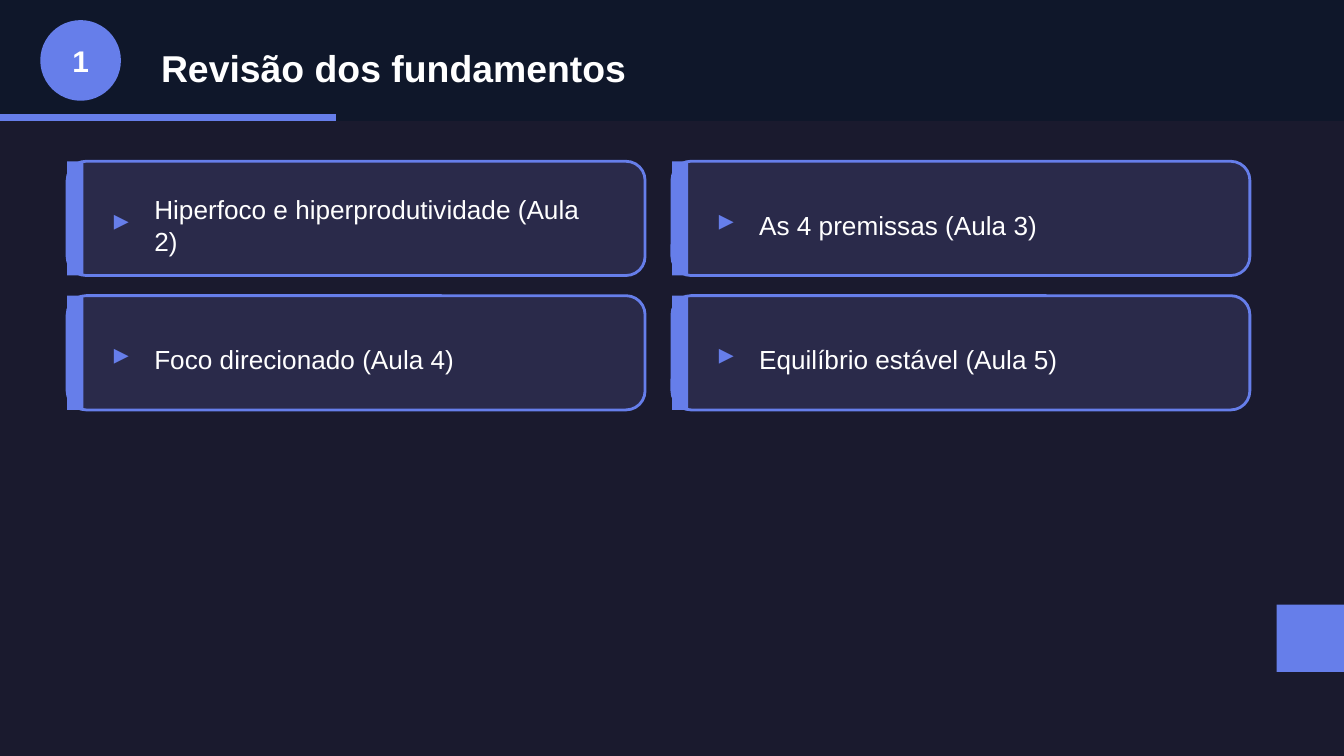
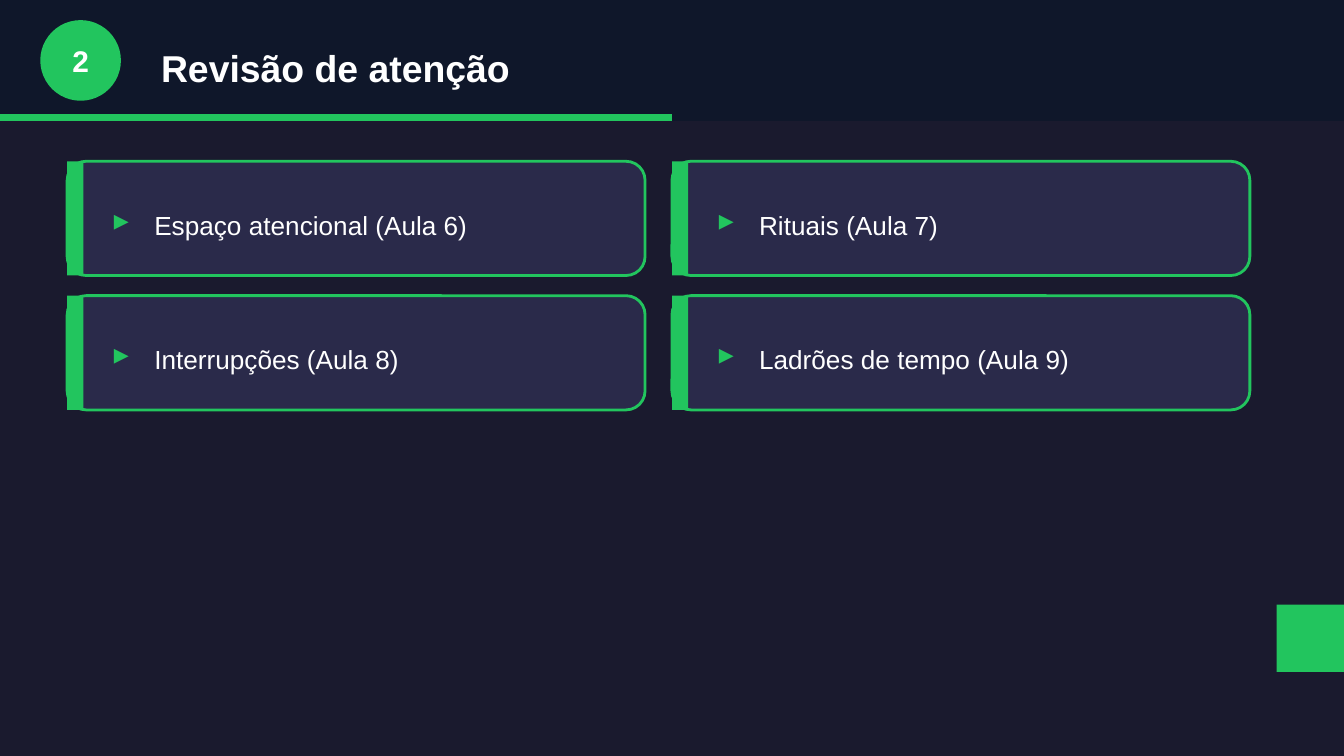
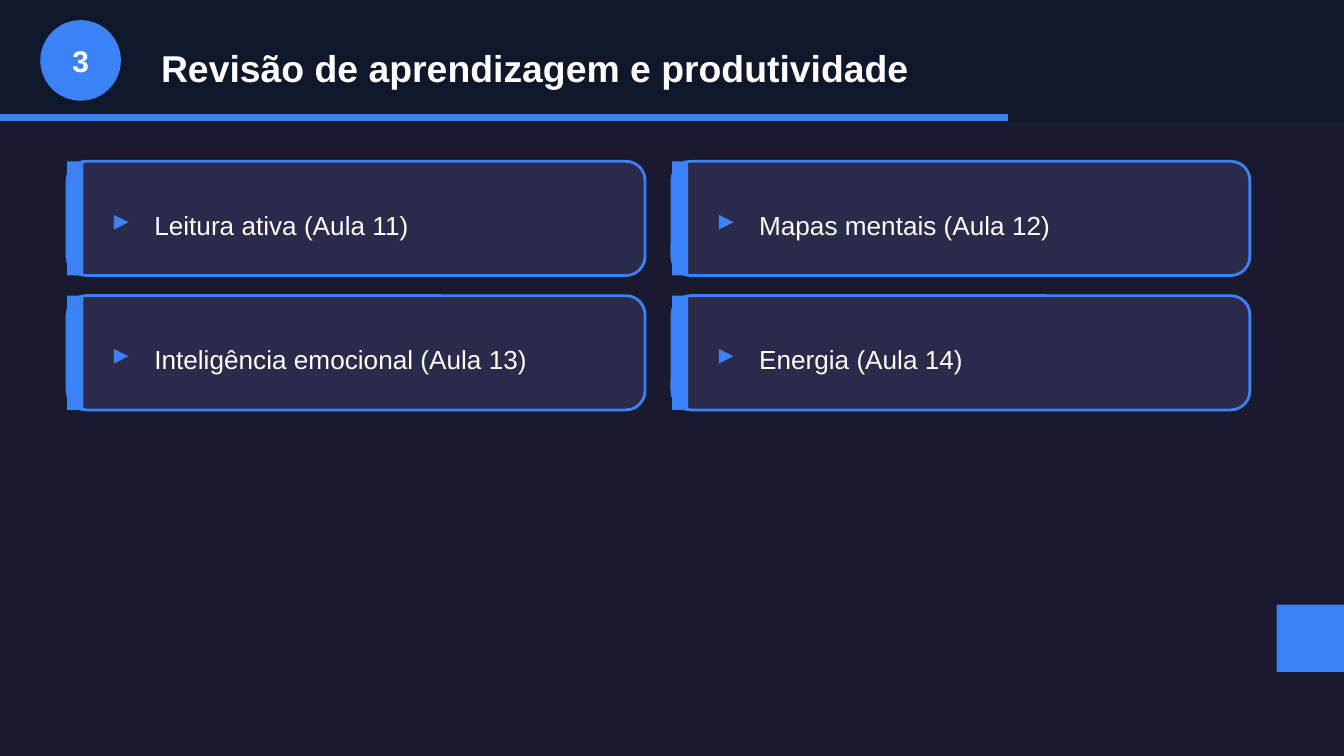
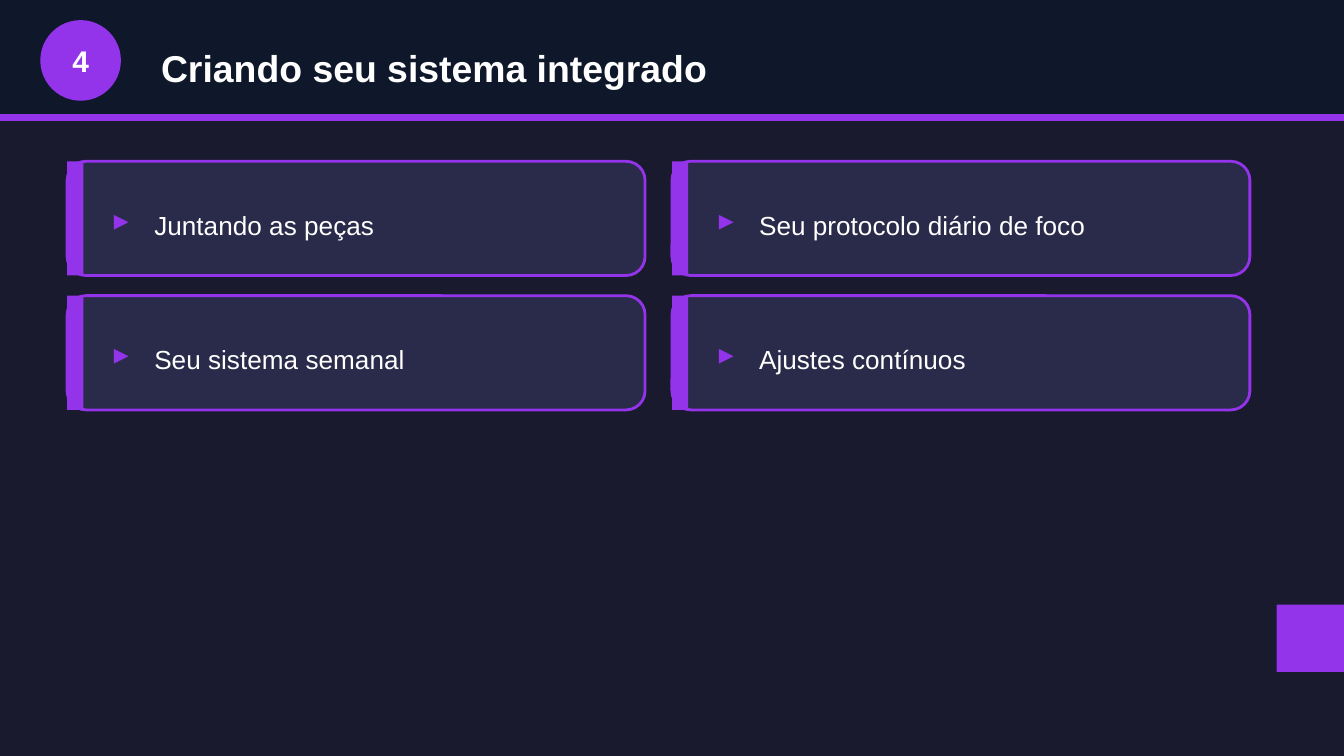
from pptx import Presentation
from pptx.dml.color import RGBColor
from pptx.enum.shapes import MSO_SHAPE as Shape
from pptx.enum.text import MSO_ANCHOR as Anchor, PP_ALIGN as Align
from pptx.util import Inches, Pt

COLUMNS = 10
WIDTH = Inches(10)
HEIGHT = WIDTH * 9 // 16
CELL = WIDTH // COLUMNS  # grid cells are square

NIGHT = RGBColor(0x1A, 0x1A, 0x2E)
NAVY = RGBColor(0x0F, 0x17, 0x2A)
CARD = RGBColor(0x2A, 0x2A, 0x4A)
WHITE = RGBColor(0xFF, 0xFF, 0xFF)
INDIGO = RGBColor(0x66, 0x7E, 0xEA)
GREEN = RGBColor(0x22, 0xC5, 0x5E)
BLUE = RGBColor(0x3B, 0x82, 0xF6)
PURPLE = RGBColor(0x93, 0x33, 0xEA)
FONT = "Arial"

CARDS_PER_ROW = 2
CARD_LEFT, CARD_TOP = 0.5, 1.2
CARD_STEP_X, CARD_STEP_Y = 4.5, 1
CARD_WIDTH, CARD_HEIGHT = 4.3, 0.85

SECTIONS = [
    ("Revisão dos fundamentos", INDIGO, [
        "Hiperfoco e hiperprodutividade (Aula 2)",
        "As 4 premissas (Aula 3)",
        "Foco direcionado (Aula 4)",
        "Equilíbrio estável (Aula 5)",
    ]),
    ("Revisão de atenção", GREEN, [
        "Espaço atencional (Aula 6)",
        "Rituais (Aula 7)",
        "Interrupções (Aula 8)",
        "Ladrões de tempo (Aula 9)",
    ]),
    ("Revisão de aprendizagem e produtividade", BLUE, [
        "Leitura ativa (Aula 11)",
        "Mapas mentais (Aula 12)",
        "Inteligência emocional (Aula 13)",
        "Energia (Aula 14)",
    ]),
    ("Criando seu sistema integrado", PURPLE, [
        "Juntando as peças",
        "Seu protocolo diário de foco",
        "Seu sistema semanal",
        "Ajustes contínuos",
    ]),
]


def cells(*lengths):
    """Turn grid columns and rows into slide lengths."""
    return [round(length * CELL) for length in lengths]


def write(box, text, size=14, color=WHITE, bold=False, align=Align.LEFT):
    frame = box.text_frame
    frame.word_wrap = True
    frame.vertical_anchor = Anchor.MIDDLE
    para = frame.paragraphs[0]
    para.alignment = align
    span = para.add_run()
    span.text = text
    span.font.name = FONT
    span.font.size = Pt(size)
    span.font.bold = bold
    span.font.color.rgb = color


class LessonDeck:
    """Holds the deck, the current page and its accent colour."""

    def __init__(self):
        self.deck = Presentation()
        self.deck.slide_width, self.deck.slide_height = WIDTH, HEIGHT
        self.page = None
        self.accent = None

    def new_page(self, accent):
        self.page = self.deck.slides.add_slide(self.deck.slide_layouts[6])
        self.accent = accent
        background = self.page.background.fill
        background.solid()
        background.fore_color.rgb = NIGHT

    def shape(self, kind, left, top, width, height, fill=None, line=None):
        """Draw a preset shape, filled with the accent unless told otherwise."""
        box = self.page.shapes.add_shape(kind, *cells(left, top, width, height))
        box.shadow.inherit = False
        box.fill.solid()
        box.fill.fore_color.rgb = fill or self.accent
        if line:
            box.line.color.rgb = line
            box.line.width = Pt(1.5)
        else:
            box.line.fill.background()

    def text(self, text, left, top, width, height, **style):
        box = self.page.shapes.add_textbox(*cells(left, top, width, height))
        write(box, text, **style)

    def header(self, number, title, progress):
        self.shape(Shape.RECTANGLE, 0, 0, COLUMNS, 0.9, fill=NAVY)
        self.shape(Shape.RECTANGLE, 0, 0.85, COLUMNS * progress, 0.05)
        self.shape(Shape.OVAL, 0.3, 0.15, 0.6, 0.6)
        self.text(str(number), 0.3, 0.25, 0.6, 0.4,
                  size=16, bold=True, align=Align.CENTER)
        self.text(title, 1.1, 0.25, 8.5, 0.5, size=20, bold=True)

    def card(self, left, top, topic):
        self.shape(Shape.ROUNDED_RECTANGLE, left, top, CARD_WIDTH, CARD_HEIGHT,
                   fill=CARD, line=self.accent)
        self.shape(Shape.RECTANGLE, left, top, 0.12, CARD_HEIGHT)
        self.text("▸", left + 0.25, top + 0.25, 0.3, 0.35,
                  size=16, color=self.accent, bold=True)
        self.text(topic, left + 0.55, top + 0.25, 3.5, 0.45)

    def card_grid(self, topics):
        for index, topic in enumerate(topics):
            row, column = divmod(index, CARDS_PER_ROW)
            self.card(CARD_LEFT + column * CARD_STEP_X,
                      CARD_TOP + row * CARD_STEP_Y, topic)

    def corner_block(self):
        self.shape(Shape.RECTANGLE, 9.5, 4.5, 0.5, 0.5)


def main():
    lesson = LessonDeck()
    for number, (title, accent, topics) in enumerate(SECTIONS, start=1):
        lesson.new_page(accent)
        lesson.header(number, title, progress=number / len(SECTIONS))
        lesson.card_grid(topics)
        lesson.corner_block()
    lesson.deck.save("out.pptx")


if __name__ == "__main__":
    main()
